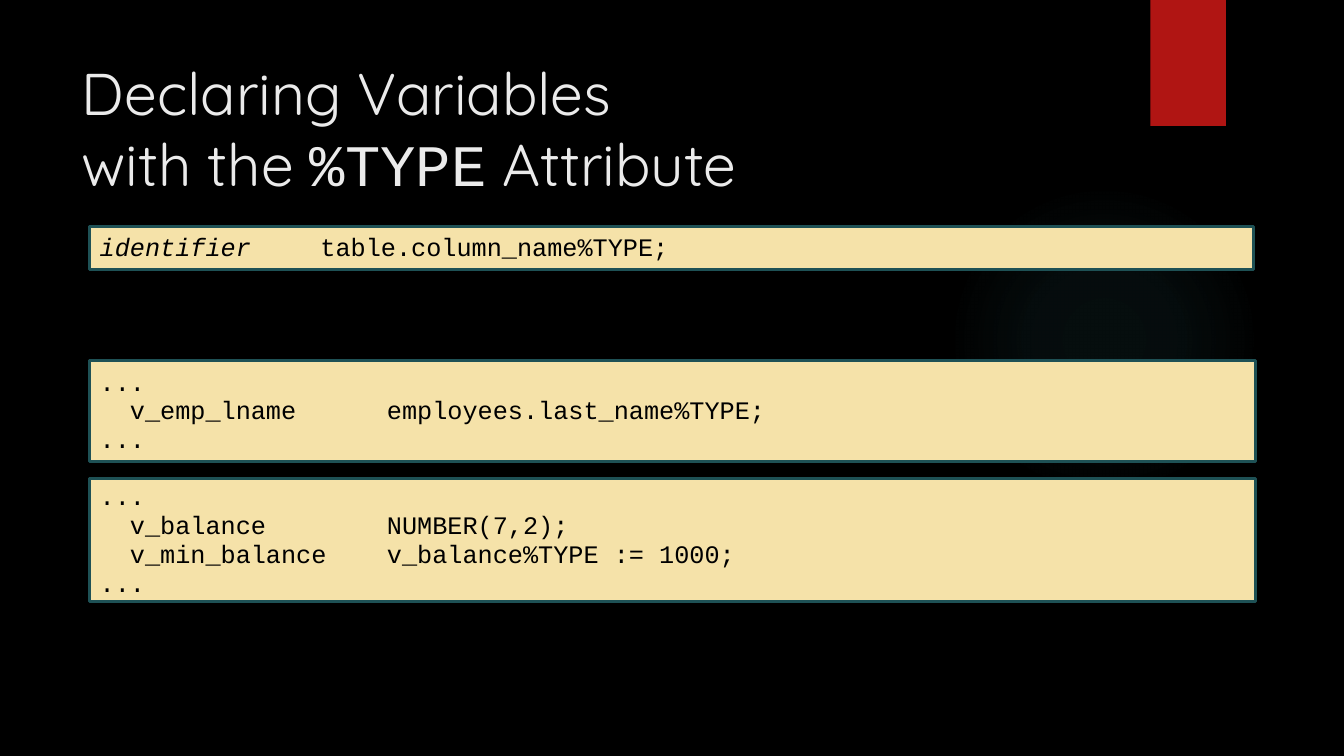
from dataclasses import dataclass

from lxml.etree import SubElement
from pptx import Presentation
from pptx.dml.color import RGBColor
from pptx.enum.shapes import MSO_SHAPE as Shape
from pptx.enum.text import MSO_ANCHOR as Anchor, MSO_AUTO_SIZE as AutoSize, PP_ALIGN as Align
from pptx.oxml import parse_xml
from pptx.oxml.ns import nsdecls, qn
from pptx.util import Inches, Pt


@dataclass(frozen=True)
class Theme:
    background: str = "000000"
    title: str = "EBEBEB"
    ribbon: str = "B01513"
    glow: str = "50B9C1"
    code_fill: str = "F5E2A9"
    code_line: str = "1E5155"
    code_text: str = "000000"
    title_font: str = "Quicksand"
    code_font: str = "Courier New"
    title_size: int = 42
    code_size: int = 18


THEME = Theme()


def color(value):
    return RGBColor.from_string(value)


def add_text(paragraph, text, *, font, size, fill, italic=False):
    run = paragraph.add_run()
    run.text = text
    run.font.name = font
    run.font.size = Pt(size)
    run.font.italic = italic
    run.font.color.rgb = color(fill)


def add_block(slide, kind, box, fill):
    shape = slide.shapes.add_shape(kind, *map(Inches, box))
    shape.shadow.inherit = False
    shape.fill.solid()
    shape.fill.fore_color.rgb = color(fill)
    shape.line.fill.background()
    return shape


def add_glow(slide, box):
    """Add a circle that fades out from its centre."""
    glow = add_block(slide, Shape.OVAL, box, THEME.glow)
    stops = "".join(
        f'<a:gs pos="{position * 1000}"><a:srgbClr val="{THEME.glow}">'
        f'<a:alpha val="{opacity * 1000}"/></a:srgbClr></a:gs>'
        for position, opacity in ((0, 7), (36, 6), (69, 0))
    )
    gradient = parse_xml(
        f'<a:gradFill {nsdecls("a")} rotWithShape="1"><a:gsLst>{stops}</a:gsLst>'
        '<a:path path="circle"><a:fillToRect l="50000" t="50000" r="50000" b="50000"/>'
        "</a:path></a:gradFill>"
    )
    properties = glow.element.spPr
    properties.replace(properties.find(qn("a:solidFill")), gradient)


def add_title(slide, box):
    title = slide.shapes.title
    title.left, title.top, title.width, title.height = map(Inches, box)
    frame = title.text_frame
    frame.auto_size = AutoSize.NONE
    frame.vertical_anchor = Anchor.MIDDLE
    paragraph = frame.paragraphs[0]
    paragraph.alignment = Align.LEFT
    style = {"size": THEME.title_size, "fill": THEME.title}
    add_text(paragraph, "Declaring Variables", font=THEME.title_font, **style)
    paragraph.add_line_break()
    add_text(paragraph, "with the ", font=THEME.title_font, **style)
    add_text(paragraph, "%TYPE", font=THEME.code_font, **style)
    add_text(paragraph, " Attribute", font=THEME.title_font, **style)


def set_tabs(paragraph, stops):
    tabs = SubElement(paragraph._p.get_or_add_pPr(), qn("a:tabLst"))
    for stop in stops:
        SubElement(tabs, qn("a:tab"), pos=str(Inches(stop)), algn="l")


def add_code(slide, box, lines, stops):
    """Add a code panel; each line is a list of (text, italic) pairs."""
    panel = add_block(slide, Shape.RECTANGLE, box, THEME.code_fill)
    panel.line.color.rgb = color(THEME.code_line)
    panel.line.width = Pt(2.25)
    frame = panel.text_frame
    frame.word_wrap = True
    frame.vertical_anchor = Anchor.MIDDLE
    for index, line in enumerate(lines):
        paragraph = frame.add_paragraph() if index else frame.paragraphs[0]
        paragraph.alignment = Align.LEFT
        paragraph.line_spacing = 0.95
        set_tabs(paragraph, stops)
        for text, italic in line:
            add_text(paragraph, text, font=THEME.code_font, size=THEME.code_size,
                     fill=THEME.code_text, italic=italic)


def build_slide(presentation):
    slide = presentation.slides.add_slide(presentation.slide_layouts[5])
    slide.background.fill.solid()
    slide.background.fill.fore_color.rgb = color(THEME.background)
    add_glow(slide, (9.41, 1.83, 3.08, 3.08))
    add_block(slide, Shape.RECTANGLE, (11.41, 0, 0.75, 1.25), THEME.ribbon)
    add_title(slide, (0.71, 0.5, 10.29, 1.53))

    syntax = [[("identifier", True), ("\ttable.column_name%TYPE;", False)]]
    add_code(slide, (0.89, 2.25, 11.54, 0.42), syntax, [2.19])

    examples = (
        (3.58, 1, ["\tv_emp_lname\temployees.last_name%TYPE;"]),
        (4.75, 1.22, ["\tv_balance\tNUMBER(7,2);",
                      "\tv_min_balance\tv_balance%TYPE := 1000;"]),
    )
    for top, height, declarations in examples:
        lines = [[(text, False)] for text in ("...", *declarations, "...")]
        add_code(slide, (0.89, top, 11.56, height), lines, [0.3, 2.85])


def main():
    presentation = Presentation()
    presentation.slide_width = Inches(13.33)
    presentation.slide_height = Inches(7.5)
    build_slide(presentation)
    presentation.save("out.pptx")


if __name__ == "__main__":
    main()
